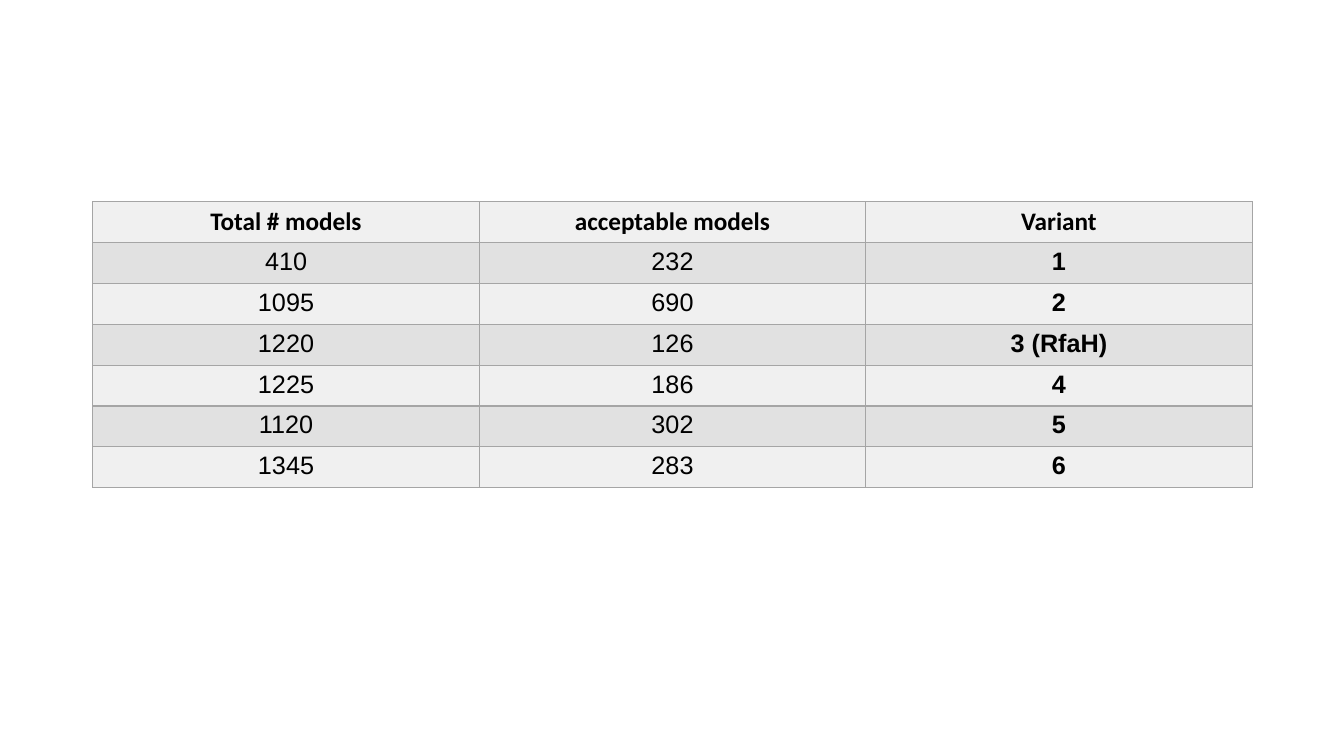
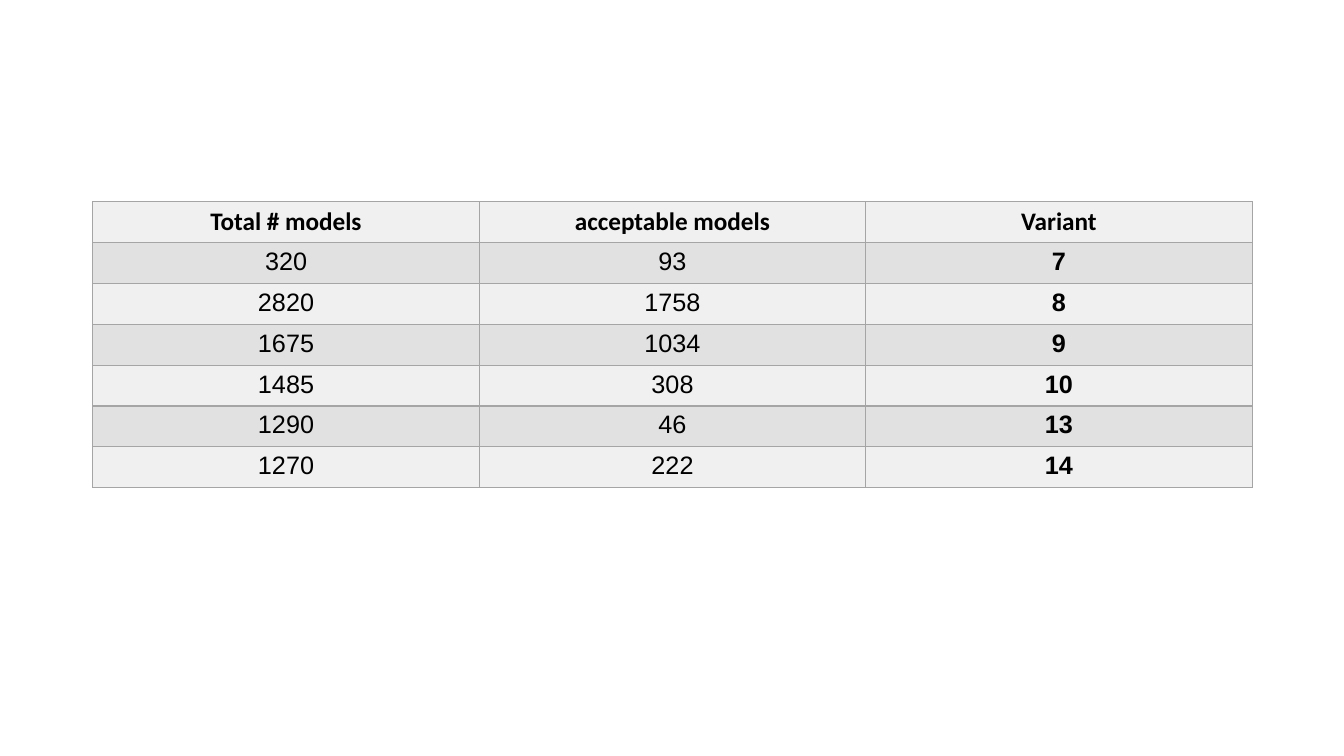
"""Build two slides that tabulate total and acceptable models for each variant."""
import pptx
import pptx.dml.color
import pptx.enum.text
import pptx.oxml.ns
import pptx.util
from lxml import etree

COLORS = {"text": "000000", "border": "A5A5A5", "light": "F0F0F0", "dark": "E1E1E1"}
SLIDE_WIDTH = pptx.util.Inches(13.33)
SLIDE_HEIGHT = pptx.util.Inches(7.5)
TABLE_LEFT = pptx.util.Inches(0.92)
TABLE_TOP = pptx.util.Inches(2)
COLUMN_WIDTH = pptx.util.Inches(11.5 / 3)
ROW_HEIGHT = pptx.util.Inches(2.84 / 7)
BORDER_WIDTH = pptx.util.Pt(1)

HEADER_FONT = {"name": "Calibri", "size": pptx.util.Pt(18), "bold": True}
NUMBER_FONT = {"name": "Arial", "size": pptx.util.Pt(18), "bold": False}
VARIANT_FONT = {**NUMBER_FONT, "bold": True}

HEADERS = ("Total # models", "acceptable models", "Variant")
SLIDE_ROWS = (
    (
        ("410", "232", "1"),
        ("1095", "690", "2"),
        ("1220", "126", "3 (RfaH)"),
        ("1225", "186", "4"),
        ("1120", "302", "5"),
        ("1345", "283", "6"),
    ),
    (
        ("320", "93", "7"),
        ("2820", "1758", "8"),
        ("1675", "1034", "9"),
        ("1485", "308", "10"),
        ("1290", "46", "13"),
        ("1270", "222", "14"),
    ),
)


def rgb(name):
    """Return the named colour."""
    return pptx.dml.color.RGBColor.from_string(COLORS[name])


def add_borders(cell):
    """Draw a thin line on all four sides of a cell."""
    qn = pptx.oxml.ns.qn
    properties = cell._tc.get_or_add_tcPr()
    for side in ("lnL", "lnR", "lnT", "lnB"):
        line = etree.SubElement(properties, qn(f"a:{side}"), w=str(BORDER_WIDTH))
        fill = etree.SubElement(line, qn("a:solidFill"))
        etree.SubElement(fill, qn("a:srgbClr"), val=COLORS["border"])


def write_cell(cell, text, font_format, fill_name):
    """Style a cell and write its centred text."""
    add_borders(cell)
    cell.fill.solid()
    cell.fill.fore_color.rgb = rgb(fill_name)
    para = cell.text_frame.paragraphs[0]
    para.alignment = pptx.enum.text.PP_ALIGN.CENTER
    span = para.add_run()
    span.text = text
    span.font.color.rgb = rgb("text")
    for attribute, value in font_format.items():
        setattr(span.font, attribute, value)


def choose_font(row, column):
    """Return the font for a header, a variant or a number."""
    if row == 0:
        return HEADER_FONT
    return VARIANT_FONT if column == len(HEADERS) - 1 else NUMBER_FONT


def add_model_table(page, body):
    """Add a table with the shared headers above the body rows."""
    rows = (HEADERS, *body)
    table = page.shapes.add_table(
        len(rows), len(HEADERS), TABLE_LEFT, TABLE_TOP,
        COLUMN_WIDTH * len(HEADERS), ROW_HEIGHT * len(rows),
    ).table
    table.horz_banding = False
    for row, texts in enumerate(rows):
        for column, text in enumerate(texts):
            fill_name = "dark" if row % 2 else "light"
            write_cell(table.cell(row, column), text, choose_font(row, column), fill_name)


def main():
    """Build and save the deck."""
    deck = pptx.Presentation()
    deck.slide_width, deck.slide_height = SLIDE_WIDTH, SLIDE_HEIGHT
    for body in SLIDE_ROWS:
        page = deck.slides.add_slide(deck.slide_layouts[6])
        add_model_table(page, body)
    deck.save("out.pptx")


if __name__ == "__main__":
    main()
